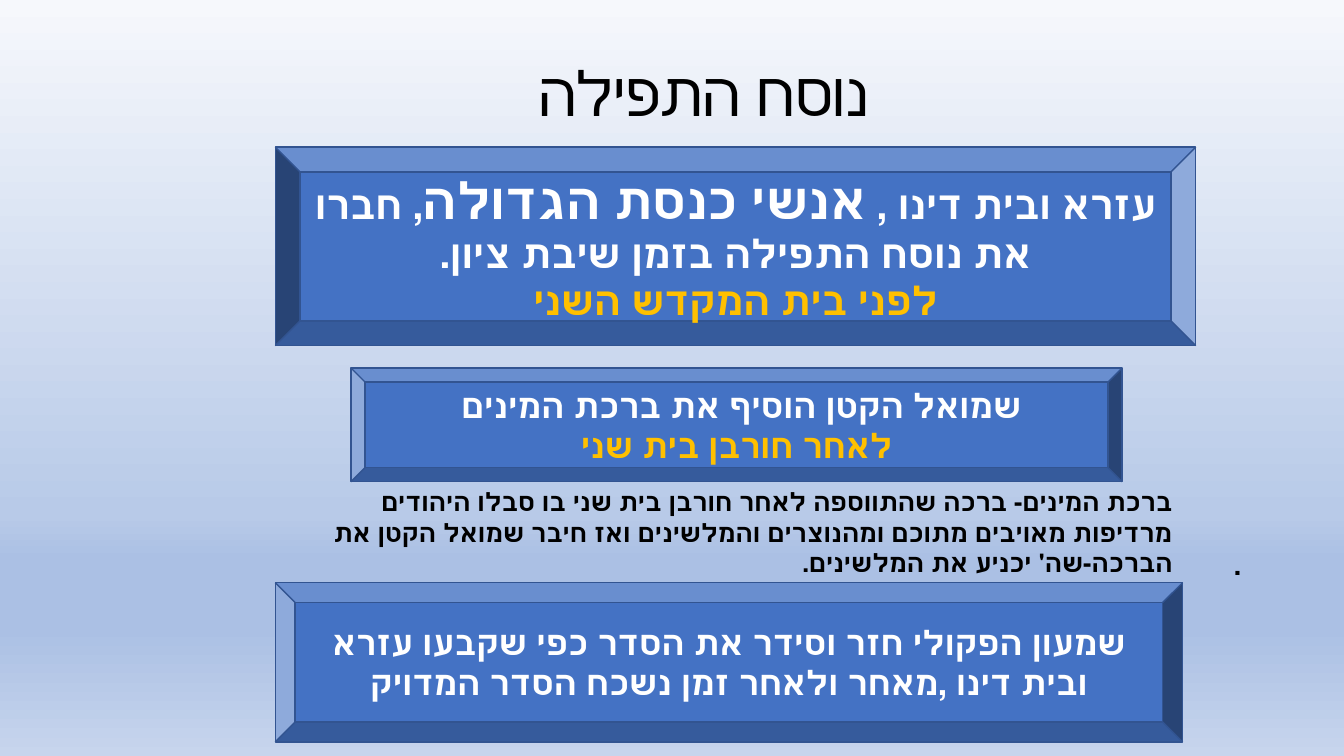
import pptx
import pptx.util
import pptx.dml.color
import pptx.enum.shapes
import pptx.enum.text
import pptx.oxml
import pptx.oxml.ns

RGBColor = pptx.dml.color.RGBColor
ALIGN = pptx.enum.text.PP_ALIGN
ANCHOR = pptx.enum.text.MSO_ANCHOR
Inches, Pt = pptx.util.Inches, pptx.util.Pt

BLUE = RGBColor(0x44, 0x72, 0xC4)
EDGE = RGBColor(0x32, 0x54, 0x91)
GOLD = RGBColor(0xFF, 0xC0, 0x00)
WHITE = RGBColor(0xFF, 0xFF, 0xFF)
BLACK = RGBColor(0, 0, 0)
SKY = [(0, RGBColor(0xF6, 0xF8, 0xFC)), (68, RGBColor(0xB8, 0xCA, 0xE8)),
       (74, RGBColor(0xAB, 0xC0, 0xE4)), (83, RGBColor(0xAB, 0xC0, 0xE4)),
       (100, RGBColor(0xC7, 0xD5, 0xED))]

# Content: a line is its runs (text, size), then its colour
TITLE = [([("נוסח התפילה", 44)], BLACK)]
FULL_STOP = [([(".", 28)], BLACK)]
EXPLANATION = [([(
    "ברכת המינים- ברכה שהתווספה לאחר חורבן בית שני בו סבלו היהודים "
    "מרדיפות מאויבים מתוכם ומהנוצרים והמלשינים ואז חיבר שמואל הקטן את "
    "הברכה-שה' יכניע את המלשינים.", 18)], BLACK)]
EZRA = [
    ([("עזרא ובית דינו , ", 28), ("אנשי כנסת הגדולה", 36),
      (", חברו את נוסח התפילה בזמן שיבת ציון.", 28)], WHITE),
    ([("לפני בית המקדש השני", 28)], GOLD)]
SHMUEL = [([("שמואל הקטן הוסיף את ברכת המינים ", 24)], WHITE),
          ([("לאחר חורבן בית שני", 24)], GOLD)]
SHIMON = [([(
    "שמעון הפקולי חזר וסידר את הסדר כפי שקבעו עזרא ובית דינו ,"
    "מאחר ולאחר זמן נשכח הסדר המדויק", 24)], WHITE)]

# Layout in inches: shared left edges and widths
MARGIN, BODY_WIDTH = 0.92, 11.5
COLUMN, COLUMN_WIDTH = 2.73, 9
TITLE_INDENT = 3.8
PANELS = [  # lines, box, mirrored
    (EZRA, (COLUMN, 1.46, 9.13, 1.97), True),
    (SHMUEL, (3.48, 3.65, 7.65, 1.13), False),
    (SHIMON, (COLUMN, 5.78, COLUMN_WIDTH, 1.58), False)]


def write(frame, lines, align, bold=False, spacing=None):
    frame.word_wrap = True
    for number, (runs, colour) in enumerate(lines):
        paragraph = frame.add_paragraph() if number else frame.paragraphs[0]
        paragraph.alignment = align
        paragraph._p.get_or_add_pPr().set("rtl", "1")
        if spacing:
            paragraph.line_spacing = spacing
        paragraph.font.name = "Calibri"
        paragraph.font.bold = bold
        paragraph.font.color.rgb = colour
        if len(runs) == 1:
            paragraph.font.size = Pt(runs[0][1])
        for words, size in runs:
            run = paragraph.add_run()
            run.text = words
            if len(runs) > 1:
                run.font.size = Pt(size)


def add_text(slide, lines, box, **style):
    frame = slide.shapes.add_textbox(*map(Inches, box)).text_frame
    write(frame, lines, ALIGN.RIGHT, **style)
    return frame


def add_panel(slide, lines, box, mirrored):
    panel = slide.shapes.add_shape(
        pptx.enum.shapes.MSO_SHAPE.BEVEL, *map(Inches, box))
    panel.shadow.inherit = False
    panel.fill.solid()
    panel.fill.fore_color.rgb = BLUE
    panel.line.color.rgb = EDGE
    panel.line.width = Pt(1)
    if mirrored:
        panel.rotation = 180
        panel.element.spPr.find(pptx.oxml.ns.qn("a:xfrm")).set("flipV", "1")
    panel.text_frame.vertical_anchor = ANCHOR.MIDDLE
    write(panel.text_frame, lines, ALIGN.CENTER, bold=True)


def paint_background(slide):
    fill = slide.background.fill
    fill.gradient()
    fill.gradient_angle = 270
    stops = next(slide.element.iter(pptx.oxml.ns.qn("a:gsLst")))
    for stop in list(stops):
        stops.remove(stop)
    for share, colour in SKY:
        stops.append(pptx.oxml.parse_xml(
            f'<a:gs {pptx.oxml.ns.nsdecls("a")} pos="{share * 1000}">'
            f'<a:srgbClr val="{colour}"/></a:gs>'))


def main():
    deck = pptx.Presentation()
    deck.slide_width, deck.slide_height = Inches(13.33), Inches(7.5)
    slide = deck.slides.add_slide(deck.slide_layouts[6])
    paint_background(slide)

    # Title, set in from the right
    title = add_text(slide, TITLE, (MARGIN, 0.4, BODY_WIDTH, 1.11), spacing=0.9)
    title.vertical_anchor = ANCHOR.MIDDLE
    title.margin_right = Inches(TITLE_INDENT)

    # Lone full stop at the right margin
    add_text(slide, FULL_STOP, (MARGIN, 5.32, BODY_WIDTH, 0.5), spacing=0.9)

    # Bevelled panels and the explanation between them
    for lines, box, mirrored in PANELS:
        add_panel(slide, lines, box, mirrored)
    add_text(slide, EXPLANATION, (COLUMN, 4.78, COLUMN_WIDTH, 1), bold=True)

    deck.save("out.pptx")


if __name__ == "__main__":
    main()
